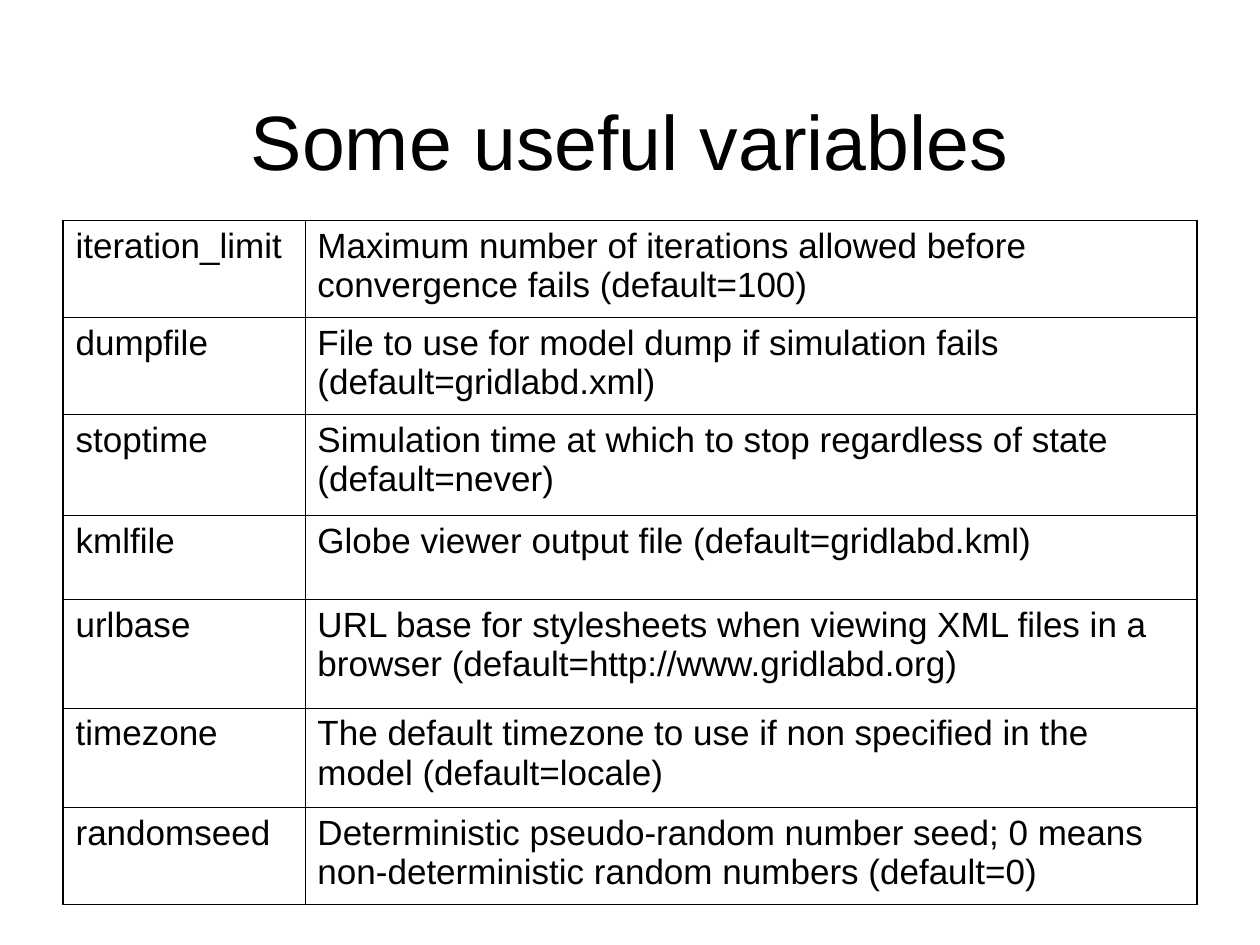
from lxml import etree
from pptx import Presentation
from pptx.dml.color import RGBColor
from pptx.enum.text import MSO_ANCHOR, PP_ALIGN
from pptx.oxml.ns import qn
from pptx.util import Inches, Pt

LEFT, CENTER = PP_ALIGN.LEFT, PP_ALIGN.CENTER
TOP, MIDDLE = MSO_ANCHOR.TOP, MSO_ANCHOR.MIDDLE
BLACK, WHITE = "000000", "FFFFFF"
THICK, THIN = 1.08, 0.45
TITLE = {"name": "Arial", "size": Pt(44), "bold": False}
BODY = {"name": "Arial", "size": Pt(20), "bold": False}

COLS = [1.92, 7.08]
ROWS = [
    (0.77, "iteration_limit",
     "Maximum number of iterations allowed before convergence fails (default=100)"),
    (0.77, "dumpfile",
     "File to use for model dump if simulation fails (default=gridlabd.xml)"),
    (0.8, "stoptime",
     "Simulation time at which to stop regardless of state (default=never)"),
    (0.67, "kmlfile",
     "Globe viewer output file (default=gridlabd.kml)"),
    (0.86, "urlbase",
     "URL base for stylesheets when viewing XML files in a browser "
     "(default=http://www.gridlabd.org)"),
    (0.79, "timezone",
     "The default timezone to use if non specified in the model (default=locale)"),
    (0.77, "randomseed",
     "Deterministic pseudo-random number seed; 0 means "
     "non-deterministic random numbers (default=0)"),
]


def color(code):
    return RGBColor.from_string(code)


def write(frame, text, style, align):
    frame.word_wrap = True
    para = frame.paragraphs[0]
    para.alignment = align
    run = para.add_run()
    run.text = text
    for key, value in style.items():
        setattr(run.font, key, value)
    run.font.color.rgb = color(BLACK)


def add_edge(cell, side, width):
    line = etree.SubElement(cell._tc.get_or_add_tcPr(), qn("a:ln" + side),
                            w=str(int(Pt(width))))
    fill = etree.SubElement(line, qn("a:solidFill"))
    etree.SubElement(fill, qn("a:srgbClr"), val=BLACK)


def add_title(slide, left, top, width, height):
    box = slide.shapes.add_textbox(left, top, width, height)
    box.text_frame.vertical_anchor = MIDDLE
    write(box.text_frame, "Some useful variables", TITLE, CENTER)


def add_grid(slide, left, top, width, height):
    table = slide.shapes.add_table(
        len(ROWS), len(COLS), left, top, width, height).table
    table.first_row = table.horz_banding = False
    for col, size in zip(table.columns, COLS):
        col.width = Inches(size)

    last, end = len(ROWS) - 1, len(COLS) - 1
    for i, (size, *texts) in enumerate(ROWS):
        table.rows[i].height = Inches(size)
        for j, text in enumerate(texts):
            cell = table.cell(i, j)
            cell.vertical_anchor = TOP
            write(cell.text_frame, text, BODY, LEFT)
            # Outer edges are thick, inner ones thin
            outer = {"L": j == 0, "R": j == end, "T": i == 0, "B": i == last}
            for side, edge in outer.items():
                add_edge(cell, side, THICK if edge else THIN)
            cell.fill.solid()
            cell.fill.fore_color.rgb = color(WHITE)


def main():
    deck = Presentation()
    deck.slide_width, deck.slide_height = Inches(10), Inches(7.5)
    slide = deck.slides.add_slide(deck.slide_layouts[6])
    # Heading
    add_title(slide, Inches(0.5), Inches(0.67), Inches(9), Inches(0.88))
    # Variables and their meanings
    add_grid(slide, Inches(0.5), Inches(1.75), Inches(9), Inches(5.43))
    deck.save("out.pptx")


if __name__ == "__main__":
    main()
